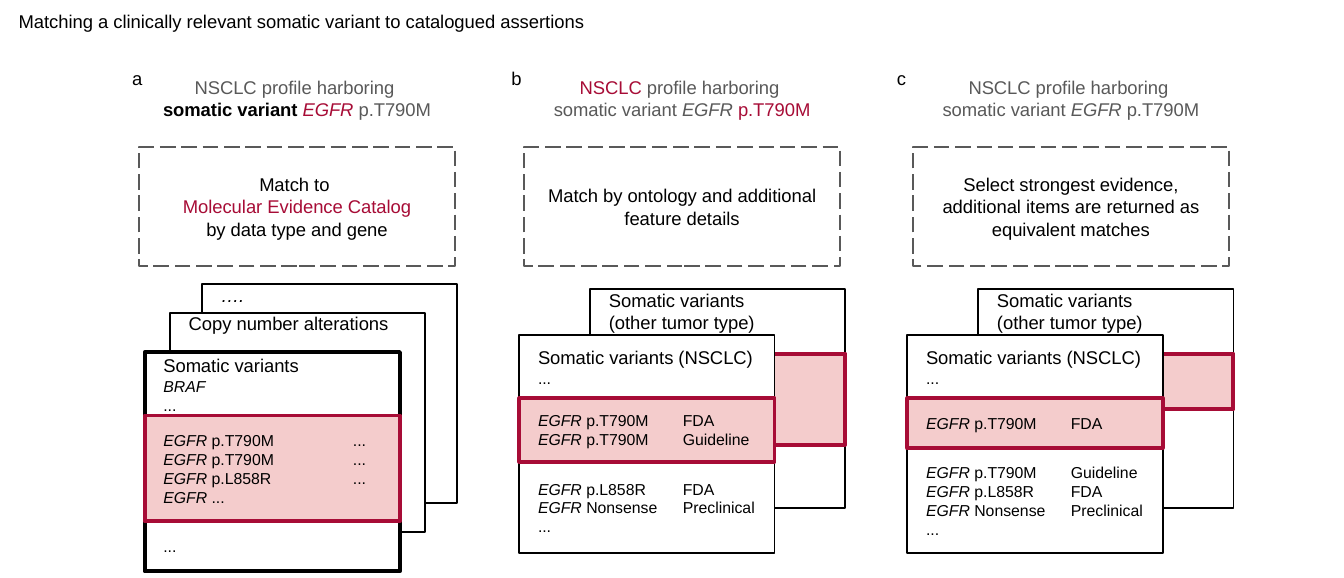
import pptx
import pptx.dml.color
import pptx.enum.dml
import pptx.enum.shapes
import pptx.enum.text
import pptx.oxml.ns
import pptx.util
from lxml import etree
from pptx.util import Cm

COLOURS = {"ink": "000000", "muted": "595959", "key": "A70C36",
           "match": "F4CCCC", "paper": "FFFFFF"}
STYLES = {  # size, colour, bold, italic
    "heading": (7, "ink", False, False),
    "strong": (7, "ink", True, False),
    "slanted": (7, "ink", False, True),
    "muted": (7, "muted", False, False),
    "muted gene": (7, "muted", False, True),
    "key": (7, "key", False, False),
    "key gene": (7, "key", False, True),
    "row": (6, "ink", False, False),
    "gene": (6, "ink", False, True),
}
CENTRE = pptx.enum.text.PP_ALIGN.CENTER
LEFT = pptx.enum.text.PP_ALIGN.LEFT
TOP = pptx.enum.text.MSO_ANCHOR.TOP
MIDDLE = pptx.enum.text.MSO_ANCHOR.MIDDLE

CM_PER_INCH = 2.54
BOX_WIDTH, CARD_WIDTH, CARD_OFFSET = 4.24, 3.42, 0.95
DETAIL_TAB, ELLIPSIS_TAB = 1.94, 2.54


def colour(name):
    return pptx.dml.color.RGBColor.from_string(COLOURS[name])


def set_attributes(target, values):
    for name, value in values.items():
        setattr(target, name, value)


def write(frame, lines, align=LEFT, anchor=MIDDLE, inset_x=0.25, inset_y=0, tab=None):
    """Fill a text frame with lines, each a list of (text, style) runs."""
    set_attributes(frame, {
        "word_wrap": True, "auto_size": pptx.enum.text.MSO_AUTO_SIZE.NONE,
        "vertical_anchor": anchor,
        "margin_left": Cm(inset_x), "margin_right": Cm(inset_x),
        "margin_top": Cm(inset_y), "margin_bottom": Cm(inset_y)})
    for number, line in enumerate(lines):
        paragraph = frame.add_paragraph() if number else frame.paragraphs[0]
        paragraph.alignment = align
        if tab:
            stops = etree.SubElement(paragraph._p.get_or_add_pPr(), pptx.oxml.ns.qn("a:tabLst"))
            etree.SubElement(stops, pptx.oxml.ns.qn("a:tab"), pos=str(Cm(tab)), algn="l")
        for text, style in line:
            size, ink, bold, italic = STYLES[style]
            run = paragraph.add_run()
            run.text = text
            set_attributes(run.font, {"name": "Arial", "size": pptx.util.Pt(size),
                                      "bold": bold, "italic": italic})
            run.font.color.rgb = colour(ink)


def add_label(slide, left, top, width, height, lines, **layout):
    label = slide.shapes.add_textbox(Cm(left), Cm(top), Cm(width), Cm(height))
    write(label.text_frame, lines, align=CENTRE, **layout)


def add_box(slide, left, top, width, height, lines=(), fill="paper", line="ink",
            weight=0.75, dash=None, **layout):
    box = slide.shapes.add_shape(pptx.enum.shapes.MSO_SHAPE.RECTANGLE,
                                 Cm(left), Cm(top), Cm(width), Cm(height))
    box.shadow.inherit = False
    if fill:
        box.fill.solid()
        box.fill.fore_color.rgb = colour(fill)
    else:
        box.fill.background()
    box.line.color.rgb = colour(line)
    set_attributes(box.line, {"width": pptx.util.Pt(weight), "dash_style": dash})
    write(box.text_frame, lines, **layout)


def add_card(slide, left, header, match, rest, weight=0.75, tab=DETAIL_TAB, header_anchor=MIDDLE):
    """Stack header, rest and highlighted match, each (top, height, lines)."""
    for (top, height, lines), format_values in (
            (rest, {"weight": weight}),
            (header, {"weight": weight, "anchor": header_anchor}),
            (match, {"fill": "match", "line": "key", "weight": 1.5})):
        add_box(slide, left, top, CARD_WIDTH, height, lines, tab=tab, **format_values)


def add_step(slide, letter, letter_left, left, profile, action):
    add_label(slide, left, 0.82, BOX_WIDTH, 0.99, profile, inset_x=0, inset_y=0.25)
    add_label(slide, letter_left, 0.9, 0.74, 0.46, [[(letter, "heading")]], anchor=TOP)
    add_box(slide, left, 1.97, BOX_WIDTH, 1.6, action, fill=None, line="muted",
            dash=pptx.enum.dml.MSO_LINE.LONG_DASH, align=CENTRE, inset_y=0.25)


def gene_row(variant, detail=""):
    return [("EGFR ", "gene"), (f"{variant}\t{detail}" if detail else variant, "row")]


def add_tumor_cards(slide, left, back_match_height, back_rest, match, rest):
    """Place the NSCLC card in front of the card for other tumor types."""
    other = [[("Somatic variants", "heading")], [("(other tumor type)", "heading")]]
    nsclc = [[("Somatic variants (NSCLC)", "heading")], [("...", "row")]]
    add_card(slide, left + CARD_OFFSET, (3.88, 0.86, other),
             (4.74, back_match_height, ()), (*back_rest, ()), header_anchor=TOP)
    add_card(slide, left, (4.49, 0.86, nsclc), match, rest)


def add_title(slide, text):
    title = slide.shapes.title
    set_attributes(title, {"left": 0, "top": 0, "width": Cm(18), "height": Cm(0.81)})
    write(title.text_frame, [[(text, "heading")]], anchor=TOP, inset_y=0.14)


def main():
    deck = pptx.Presentation()
    deck.slide_width = Cm(7.09 * CM_PER_INCH)
    deck.slide_height = Cm(3.05 * CM_PER_INCH)
    slide = deck.slides.add_slide(deck.slide_layouts[5])
    add_title(slide, "Matching a clinically relevant somatic variant to catalogued assertions")

    add_step(slide, "a", 1.47, 1.86,
             [[("NSCLC profile harboring ", "muted")],
              [("somatic variant ", "strong"), ("EGFR ", "key gene"), ("p.T790M", "muted")]],
             [[("Match to ", "heading")], [("Molecular Evidence Catalog", "key")],
              [("by data type and gene", "heading")]])
    for left, top, name, style in ((2.71, 3.81, "….", "slanted"),
                                   (2.28, 4.19, "Copy number alterations", "heading")):
        add_box(slide, left, top, CARD_WIDTH, 2.94, [[(name, style)]], anchor=TOP)
    add_card(slide, 1.94,
             (4.72, 0.86, [[("Somatic variants", "heading")], [("BRAF", "gene")], [("...", "row")]]),
             (5.57, 1.42, [gene_row("p.T790M", "..."), gene_row("p.T790M", "..."),
                           gene_row("p.L858R", "..."), gene_row("...")]),
             (6.99, 0.67, [[("...", "row")]]), weight=1.5, tab=ELLIPSIS_TAB)

    add_step(slide, "b", 6.55, 7.02,
             [[("NSCLC ", "key"), ("profile harboring ", "muted")],
              [("somatic variant ", "muted"), ("EGFR ", "muted gene"), ("p.T790M", "key")]],
             [[("Match by ontology and additional feature details", "heading")]])
    weaker_rows = [gene_row("p.L858R", "FDA"), gene_row("Nonsense", "Preclinical"),
                   [("...", "row")]]
    guideline_row = gene_row("p.T790M", "Guideline")
    fda_row = gene_row("p.T790M", "FDA")
    add_tumor_cards(slide, 6.96, 1.22, (5.59, 1.22),
                    (5.34, 0.85, [fda_row, guideline_row]), (6.19, 1.23, weaker_rows))

    add_step(slide, "c", 11.71, 12.23,
             [[("NSCLC profile harboring ", "muted")],
              [("somatic variant ", "muted"), ("EGFR ", "muted gene"), ("p.T790M", "muted")]],
             [[("Select strongest evidence, additional items are returned as equivalent matches",
                "heading")]])
    add_tumor_cards(slide, 12.16, 0.75, (5.49, 1.32),
                    (5.34, 0.67, [fda_row]), (6.01, 1.41, [guideline_row, *weaker_rows]))

    deck.save("out.pptx")


if __name__ == "__main__":
    main()
